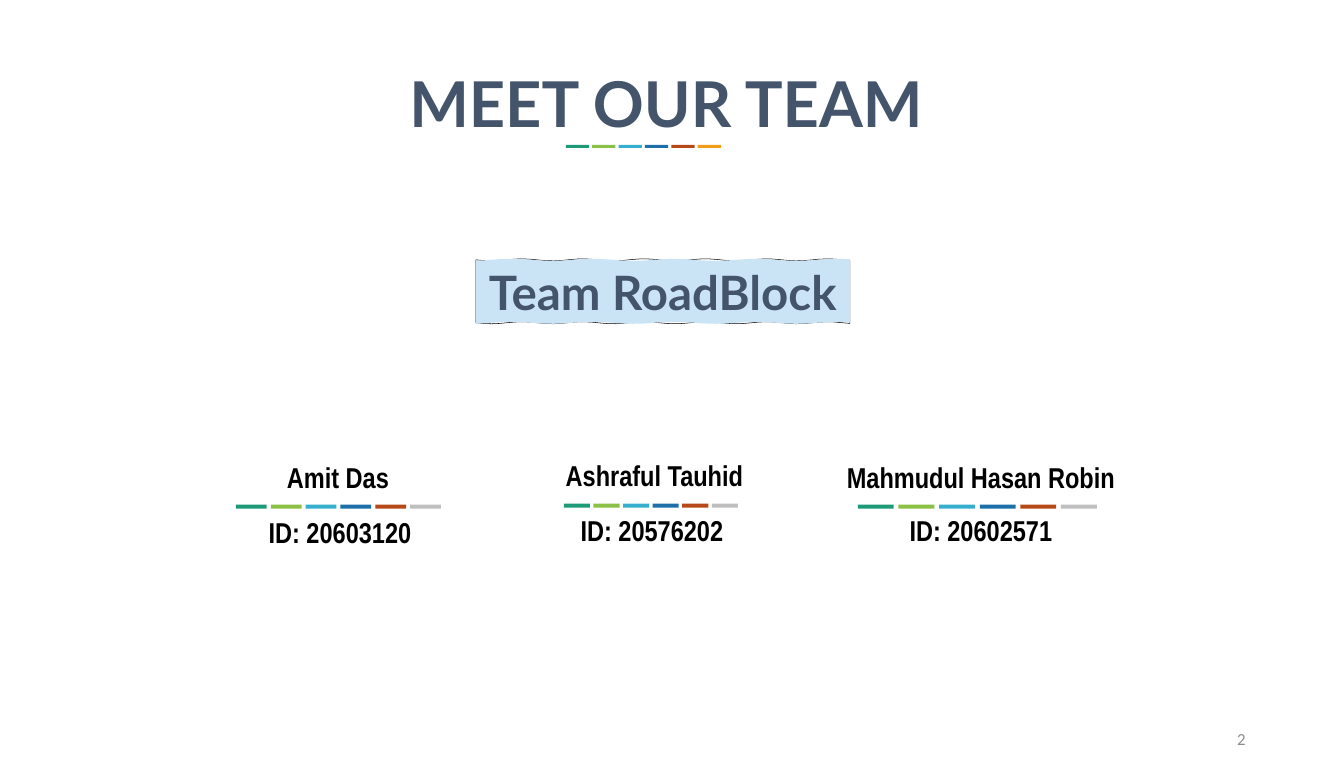
"""Build the team introduction slide with its banner and three members."""
from math import sin

from pptx import Presentation
from pptx.dml.color import RGBColor
from pptx.enum.shapes import MSO_SHAPE
from pptx.enum.text import MSO_ANCHOR, PP_ALIGN
from pptx.util import Inches, Pt

SCALE = 914400 / 51.7
BLACK = RGBColor(0x00, 0x00, 0x00)
SLATE = RGBColor(0x44, 0x54, 0x6A)
GRAY = RGBColor(0x8C, 0x8C, 0x8C)
SILVER = RGBColor(0xBF, 0xBF, 0xBF)
AMBER = RGBColor(0xF1, 0x9D, 0x19)
PALE_BLUE = RGBColor(0xCA, 0xE4, 0xF6)
STRIPE_COLORS = [
    RGBColor(0x1D, 0x9A, 0x78),
    RGBColor(0x8B, 0xC1, 0x45),
    RGBColor(0x36, 0xAF, 0xCE),
    RGBColor(0x1D, 0x6F, 0xA9),
    RGBColor(0xB7, 0x49, 0x19),
]


def pixels(*values):
    return [round(value * SCALE) for value in values]


def write(shape, text, size, font="Arial Narrow", color=BLACK, bold=True,
          align=PP_ALIGN.CENTER, anchor=MSO_ANCHOR.TOP, wrap=True):
    frame = shape.text_frame
    frame.word_wrap = wrap
    frame.vertical_anchor = anchor
    paragraph = frame.paragraphs[0]
    paragraph.alignment = align
    run = paragraph.add_run()
    run.text = text
    run.font.name = font
    run.font.size = Pt(size)
    run.font.bold = bold
    run.font.color.rgb = color


presentation = Presentation()
presentation.slide_width = Inches(26)
presentation.slide_height = Inches(15)
slide = presentation.slides.add_slide(presentation.slide_layouts[5])
shapes = slide.shapes

title = shapes.title
title.left, title.top, title.width, title.height = pixels(74, 62, 1184, 82)
write(title, "MEET OUR TEAM", 88, font="Lato", color=SLATE)

members = [
    ("Amit Das", "ID: 20603120", (201, 458, 274), (192, 513, 296)),
    ("Ashraful Tauhid", "ID: 20576202", (520, 456, 269), (527, 511, 250)),
    ("Mahmudul Hasan Robin", "ID: 20602571", (809, 458, 344), (809, 511, 344)),
]
for name, number, name_place, number_place in members:
    for text, place, height in ((name, name_place, 69), (number, number_place, 29)):
        write(shapes.add_textbox(*pixels(*place, height)), text, 40)

stripe_rows = [
    (566, 145, 155, 3, AMBER),
    (236, 505, 205, 4, SILVER),
    (564, 504, 174, 4, SILVER),
    (858, 505, 239, 4, SILVER),
]
for left, top, total, height, last_color in stripe_rows:
    width = total * 0.15
    step = (total - width) / 5
    for index, color in enumerate(STRIPE_COLORS + [last_color]):
        stripe = shapes.add_shape(
            MSO_SHAPE.RECTANGLE, *pixels(left + index * step, top, width, height))
        stripe.shadow.inherit = False
        stripe.fill.solid()
        stripe.fill.fore_color.rgb = color
        stripe.line.fill.background()

banner_left, banner_top, banner_width, banner_height = 476, 260, 374, 63
banner_steps = 48
for phase, wave in ((0, 0.8), (2, 0.6)):
    offsets = [sin(phase + index * wave) for index in range(banner_steps + 1)]
    top_edge = [(banner_left + banner_width * index / banner_steps, banner_top + offset)
                for index, offset in enumerate(offsets)]
    bottom_edge = [(x, y + banner_height) for x, y in reversed(top_edge)]
    points = [pixels(*point) for point in top_edge + bottom_edge]
    builder = shapes.build_freeform(*points[0])
    builder.add_line_segments(points[1:], close=True)
    banner = builder.convert_to_shape()
    banner.shadow.inherit = False
    if phase == 0:
        banner.fill.background()
        banner.line.color.rgb = BLACK
        banner.line.width = Pt(0.75)
    else:
        banner.fill.solid()
        banner.fill.fore_color.rgb = PALE_BLUE
        banner.line.fill.background()
        write(banner, "Team RoadBlock", 66, font="Lato", color=SLATE,
              anchor=MSO_ANCHOR.MIDDLE, wrap=False)

page_number = shapes.add_textbox(*pixels(949, 719, 302, 41))
write(page_number, "2", 23.4, font="Calibri", color=GRAY, bold=False,
      align=PP_ALIGN.RIGHT, anchor=MSO_ANCHOR.MIDDLE)

presentation.save("out.pptx")
